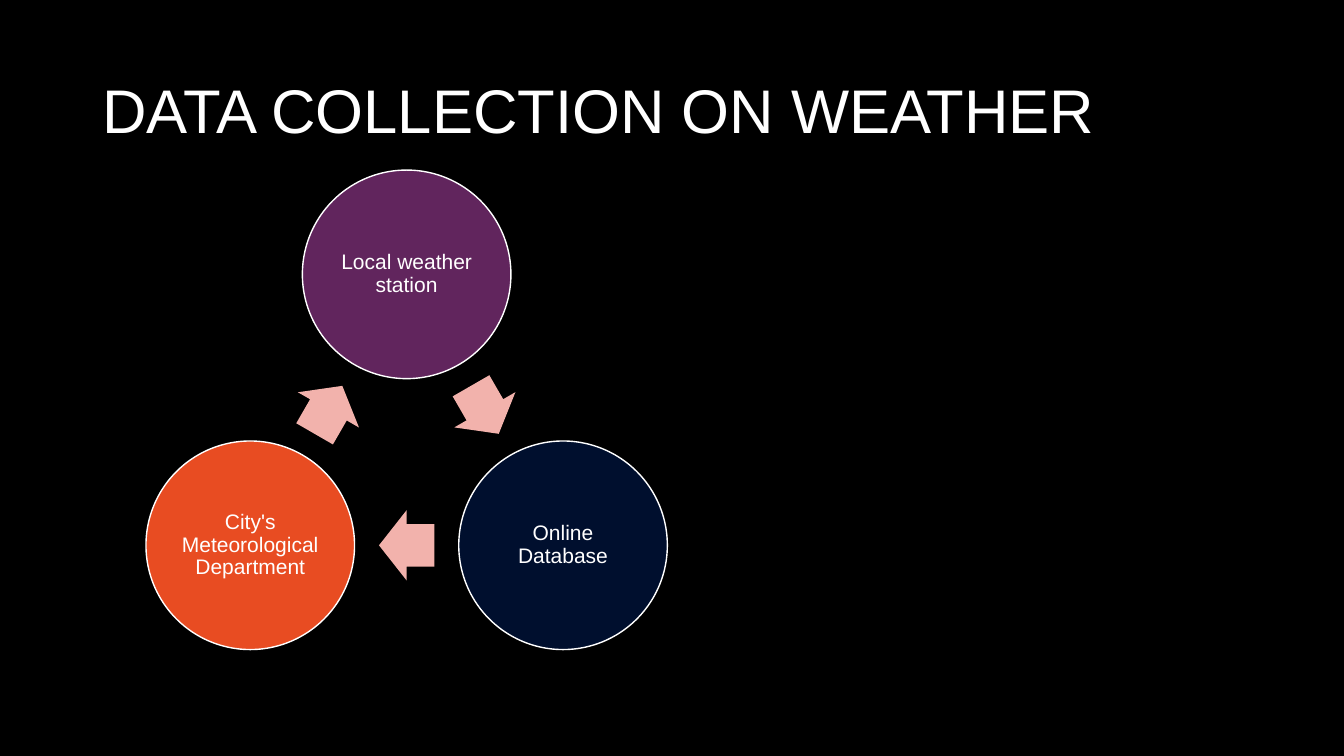
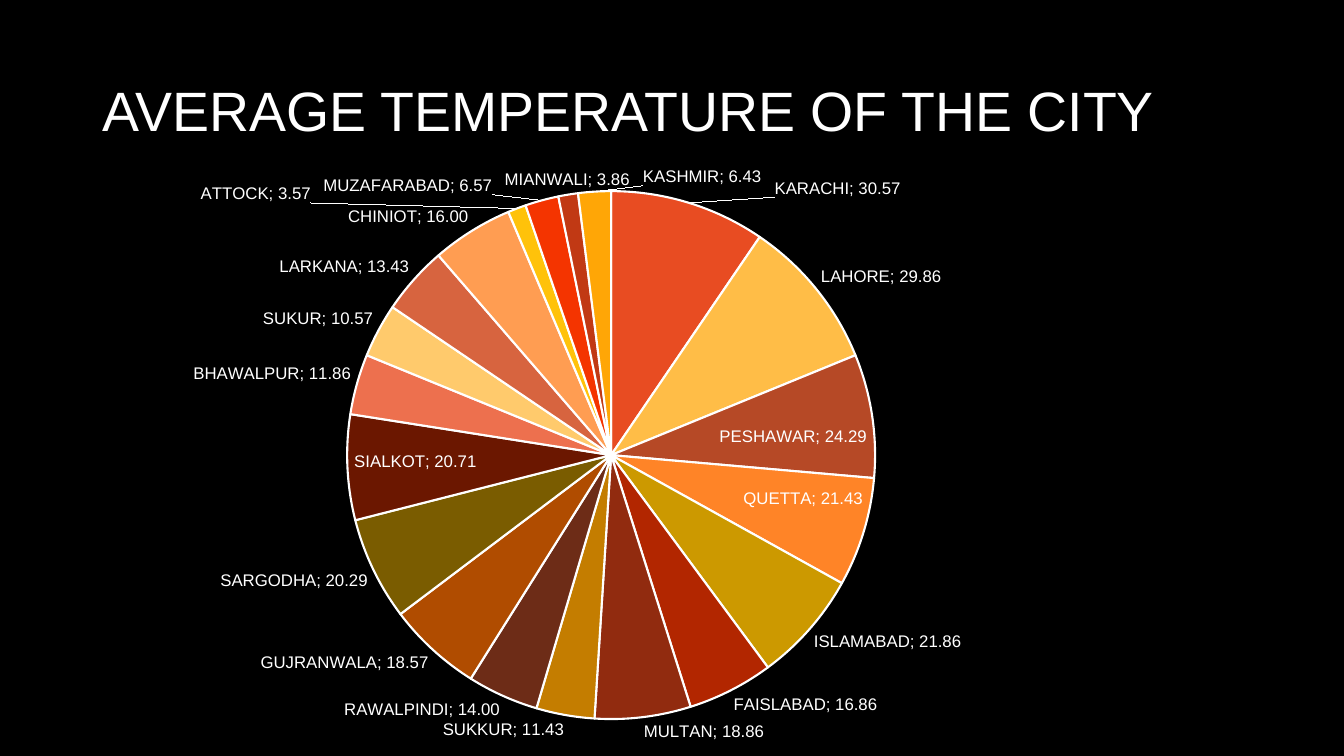
import math

import lxml.etree
import pptx
import pptx.chart.data
import pptx.dml.color
import pptx.enum.chart
import pptx.enum.shapes
import pptx.enum.text
import pptx.oxml.ns
import pptx.util

Pt = pptx.util.Pt
qn = pptx.oxml.ns.qn

COLOURS = {
    "background": "000000",
    "text": "FFFFFF",
    "arrow": "F2B2AC",
    "station": "61255D",
    "database": "000F2E",
    "department": "E84C22",
}
FONT = "Arial"
TITLE_BOX = {"left": 66, "top": 28.8, "width": 828, "height": 104.4}

# Ring of sources: centre, radius and part sizes
RING_X, RING_Y, RING_RADIUS = 290.5, 325, 129
CIRCLE_SIZE = 149
ARROW_WIDTH, ARROW_HEIGHT = 39.6, 50.4
SOURCES = [
    ("Local weather station", "station"),
    ("Online Database", "database"),
    ("City's Meteorological Department", "department"),
]

# City, average temperature, slice colour
CITIES = [
    ("KARACHI", 30.57, "E84C22"),
    ("LAHORE", 29.86, "FFBD47"),
    ("PESHAWAR", 24.29, "B64926"),
    ("QUETTA", 21.43, "FF8427"),
    ("ISLAMABAD", 21.86, "CC9900"),
    ("FAISLABAD", 16.86, "B22600"),
    ("MULTAN", 18.86, "912B0F"),
    ("SUKKUR", 11.43, "C47D00"),
    ("RAWALPINDI", 14, "6D2C17"),
    ("GUJRANWALA", 18.57, "B04C00"),
    ("SARGODHA", 20.29, "7A5C00"),
    ("SIALKOT", 20.71, "6B1700"),
    ("BHAWALPUR", 11.86, "ED704E"),
    ("SUKUR", 10.57, "FFCA6C"),
    ("LARKANA", 13.43, "D7643F"),
    ("CHINIOT", 16, "FF9D52"),
    ("ATTOCK", 3.57, "FFC20A"),
    ("MUZAFARABAD", 6.57, "F43400"),
    ("MIANWALI", 3.86, "C13914"),
    ("KASHMIR", 6.43, "FFA606"),
]
CHART_BOX = (-51.8, 110.2, 967, 429.8)
PIE_LAYOUT = {"x": 0.31, "y": 0.06, "w": 0.39, "h": 0.88}


def rgb(value):
    return pptx.dml.color.RGBColor.from_string(COLOURS.get(value, value))


def set_values(target, values):
    for name, value in values.items():
        setattr(target, name, value)


def format_font(font, size):
    set_values(font, {"name": FONT, "size": Pt(size)})
    font.color.rgb = rgb("text")


def paint(item, fill, line_width=0):
    item.fill.solid()
    item.fill.fore_color.rgb = rgb(fill)
    if line_width:
        item.line.color.rgb = rgb("text")
        item.line.width = Pt(line_width)
    else:
        item.line.fill.background()


def add_titled_slide(deck, text, size):
    page = deck.slides.add_slide(deck.slide_layouts[5])
    title = page.shapes.title
    set_values(title, {side: Pt(length) for side, length in TITLE_BOX.items()})
    set_values(title.text_frame, {
        "text": text,
        "word_wrap": True,
        "auto_size": pptx.enum.text.MSO_AUTO_SIZE.NONE,
        "vertical_anchor": pptx.enum.text.MSO_ANCHOR.MIDDLE,
    })
    para = title.text_frame.paragraphs[0]
    set_values(para, {"alignment": pptx.enum.text.PP_ALIGN.LEFT, "line_spacing": 0.9})
    format_font(para.runs[0].font, size)
    return page


def add_centred_shape(page, kind, x, y, width, height):
    shape = page.shapes.add_shape(
        kind, Pt(x - width / 2), Pt(y - height / 2), Pt(width), Pt(height))
    shape.shadow.inherit = False
    return shape


def ring_point(angle, radius):
    turn = math.radians(angle)
    return RING_X + radius * math.cos(turn), RING_Y + radius * math.sin(turn)


def add_source(page, angle, text, fill):
    circle = add_centred_shape(
        page, pptx.enum.shapes.MSO_SHAPE.OVAL,
        *ring_point(angle, RING_RADIUS), CIRCLE_SIZE, CIRCLE_SIZE)
    paint(circle, fill, 1)
    frame = circle.text_frame
    margins = ("margin_left", "margin_top", "margin_right", "margin_bottom")
    set_values(frame, dict.fromkeys(margins, Pt(1.5)))
    set_values(frame, {
        "text": text,
        "word_wrap": True,
        "vertical_anchor": pptx.enum.text.MSO_ANCHOR.MIDDLE,
    })
    para = frame.paragraphs[0]
    set_values(para, {"alignment": pptx.enum.text.PP_ALIGN.CENTER, "line_spacing": 0.9})
    format_font(para.runs[0].font, 15)


def add_ring_arrow(page, angle):
    # Midway between two circles, along the direction of travel
    arrow = add_centred_shape(
        page, pptx.enum.shapes.MSO_SHAPE.RIGHT_ARROW,
        *ring_point(angle, RING_RADIUS / 2), ARROW_WIDTH, ARROW_HEIGHT)
    arrow.adjustments[0] = 0.6
    arrow.adjustments[1] = 0.5
    arrow.rotation = (angle + 90) % 360
    paint(arrow, "arrow")


def add_source_ring(page):
    step = 360 / len(SOURCES)
    for index, (text, fill) in enumerate(SOURCES):
        angle = -90 + index * step
        add_source(page, angle, text, fill)
        add_ring_arrow(page, angle + step / 2)


def place_pie(chart):
    area = chart._chartSpace.chart.plotArea
    for old in area.findall(qn("c:layout")):
        area.remove(old)
    layout = lxml.etree.Element(qn("c:layout"))
    area.insert(0, layout)
    manual = lxml.etree.SubElement(layout, qn("c:manualLayout"))
    settings = {"layoutTarget": "inner", "xMode": "edge", "yMode": "edge", **PIE_LAYOUT}
    for name, value in settings.items():
        lxml.etree.SubElement(manual, qn("c:" + name)).set("val", str(value))


def label_slices(series):
    labels = series.data_labels
    set_values(labels, {
        "show_value": True,
        "show_category_name": True,
        "show_percentage": False,
        "number_format": "0.00",
        "number_format_is_linked": False,
        "position": pptx.enum.chart.XL_LABEL_POSITION.BEST_FIT,
    })
    format_font(labels.font, 12)
    # Separator and white leader lines
    element = labels._element
    for old in element.findall(qn("c:showLeaderLines")):
        element.remove(old)
    lxml.etree.SubElement(element, qn("c:separator")).text = "; "
    lxml.etree.SubElement(element, qn("c:showLeaderLines")).set("val", "1")
    parent = element
    for tag in ("c:leaderLines", "c:spPr", "a:ln", "a:solidFill", "a:srgbClr"):
        parent = lxml.etree.SubElement(parent, qn(tag))
    parent.set("val", COLOURS["text"])


def add_temperature_pie(page):
    names, values, fills = zip(*CITIES)
    data = pptx.chart.data.CategoryChartData(number_format="0.00")
    data.categories = names
    data.add_series("Series 1", values)
    chart = page.shapes.add_chart(
        pptx.enum.chart.XL_CHART_TYPE.PIE, *map(Pt, CHART_BOX), data).chart
    set_values(chart, {"has_title": False, "has_legend": False})
    format_font(chart.font, 10)
    chart.plots[0].vary_by_categories = True
    series = chart.plots[0].series[0]
    for index, fill in enumerate(fills):
        paint(series.points[index].format, fill, 1.5)
    label_slices(series)
    place_pie(chart)


def main():
    deck = pptx.Presentation()
    set_values(deck, {"slide_width": Pt(960), "slide_height": Pt(540)})
    backdrop = deck.slide_master.background.fill
    backdrop.solid()
    backdrop.fore_color.rgb = rgb("background")

    add_source_ring(add_titled_slide(deck, "DATA COLLECTION ON WEATHER", 44))
    add_temperature_pie(add_titled_slide(deck, "AVERAGE TEMPERATURE OF THE CITY", 39.6))
    deck.save("out.pptx")


if __name__ == "__main__":
    main()
